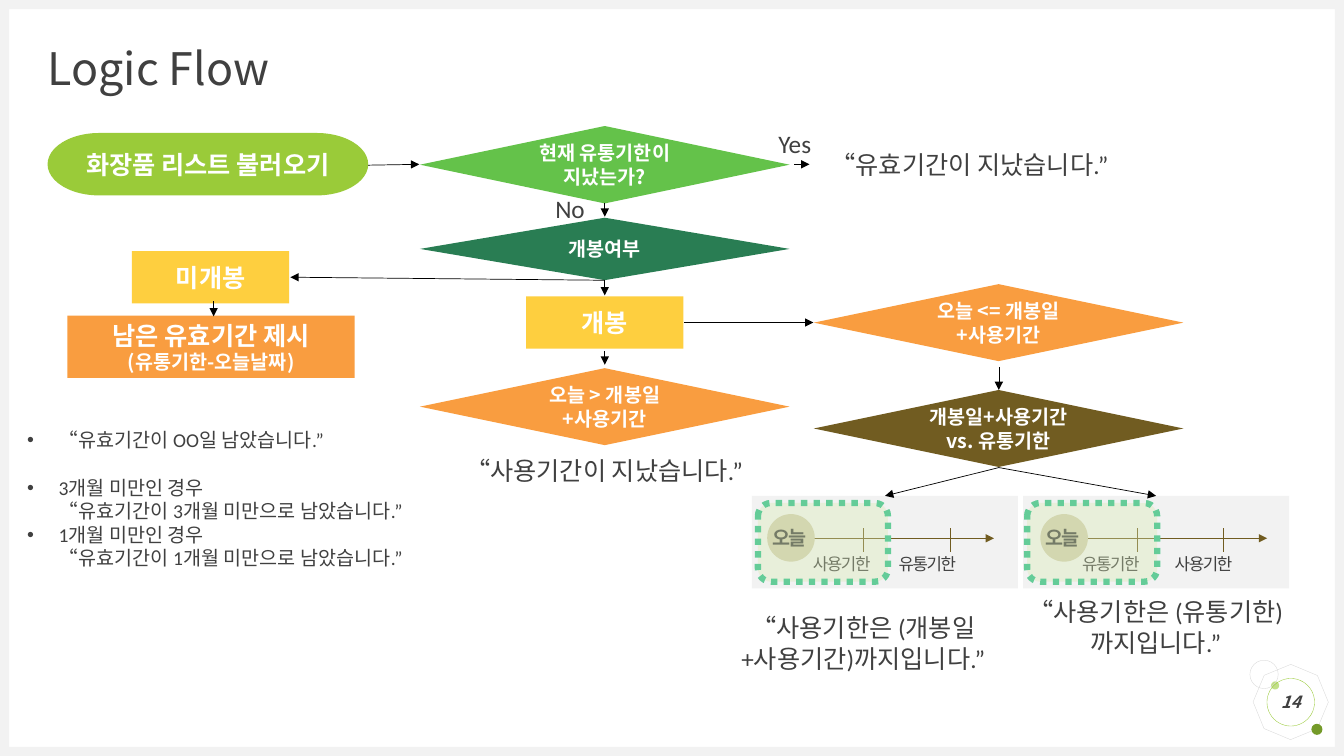
from dataclasses import dataclass
from typing import Any, Optional

import pptx
import pptx.dml.color
import pptx.enum.dml
import pptx.enum.shapes
import pptx.enum.text
import pptx.oxml.ns
import pptx.util
from lxml import etree

Pt = pptx.util.Pt
RGBColor = pptx.dml.color.RGBColor
Kind = pptx.enum.shapes.MSO_SHAPE
Align = pptx.enum.text.PP_ALIGN
Anchor = pptx.enum.text.MSO_ANCHOR
qn = pptx.oxml.ns.qn

WHITE = RGBColor(0xFF, 0xFF, 0xFF)
BLACK = RGBColor(0x00, 0x00, 0x00)
INK = RGBColor(0x40, 0x40, 0x40)
PALE = RGBColor(0xF2, 0xF2, 0xF2)
GREY = RGBColor(0xD9, 0xD9, 0xD9)
LIME = RGBColor(0x9A, 0xCB, 0x39)
LEAF = RGBColor(0x64, 0xC2, 0x4A)
FOREST = RGBColor(0x29, 0x7D, 0x53)
YELLOW = RGBColor(0xFE, 0xCF, 0x3F)
ORANGE = RGBColor(0xF9, 0x9D, 0x40)
BROWN = RGBColor(0x71, 0x5C, 0x21)
SAND = RGBColor(0xD2, 0xCE, 0xB1)
MINT = RGBColor(0x64, 0xCC, 0x98)
TINT = RGBColor(0xD7, 0xEA, 0xB0)
LIGHT = RGBColor(0xC2, 0xE0, 0x88)
OLIVE = RGBColor(0x74, 0x9A, 0x29)
NOTO = "Noto Sans CJK KR"
PLAIN = "Calibri"

Box = tuple[float, float, float, float]
Point = tuple[float, float]


@dataclass
class Style:
    size: float
    face: str = PLAIN
    color: RGBColor = INK
    bold: bool = False
    slant: bool = False
    track: float = 0


@dataclass
class Node:
    kind: Any
    box: Box
    fill: Optional[RGBColor] = None
    line: Optional[RGBColor] = None
    turn: float = 0
    lines: tuple[tuple[str, Style], ...] = ()


@dataclass
class Note:
    box: Box
    text: str
    style: Style
    align: Any = Align.CENTER
    anchor: Any = Anchor.MIDDLE
    wrap: bool = True


@dataclass
class Span:
    """A timeline panel with its axis, its dotted frame and two named dates."""
    left: float
    axis: float
    frame: float
    dates: tuple[tuple[str, float], ...]


HEAD = Style(18, NOTO, WHITE, True)
SUB = Style(14, NOTO, WHITE, True)
BADGE = Style(12, NOTO, INK, True, True)
TITLE = Style(32, NOTO)
SAY = Style(18)
ITEM = Style(14)
TODAY = Style(14, bold=True, track=-1)
DATE = Style(12, track=-1)


def write(para: Any, text: str, style: Style) -> None:
    run = para.add_run()
    run.text = text
    font = run.font
    font.name, font.size = style.face, Pt(style.size)
    font.bold, font.italic = style.bold, style.slant
    font.color.rgb = style.color
    if style.track:
        run._r.get_or_add_rPr().set("spc", str(int(style.track * 100)))


def clear(frame: Any) -> None:
    """Set all insets to zero."""
    frame.margin_left = frame.margin_right = Pt(0)
    frame.margin_top = frame.margin_bottom = Pt(0)


def place(shape: Any, box: Box) -> None:
    shape.left, shape.top, shape.width, shape.height = map(Pt, box)


def draw(shapes: Any, node: Node) -> Any:
    shape = shapes.add_shape(node.kind, *map(Pt, node.box))
    shape.shadow.inherit = False
    shape.rotation = node.turn
    if node.fill is None:
        shape.fill.background()
    else:
        shape.fill.solid()
        shape.fill.fore_color.rgb = node.fill
    if node.line is None:
        shape.line.fill.background()
    else:
        shape.line.color.rgb = node.line
        shape.line.width = Pt(0.25)
    if node.lines:
        frame = shape.text_frame
        frame.word_wrap, frame.vertical_anchor = True, Anchor.MIDDLE
        if node.fill is None:
            clear(frame)
        para = frame.paragraphs[0]
        para.alignment = Align.CENTER
        for i, (text, style) in enumerate(node.lines):
            if i:
                para.add_line_break()
            write(para, text, style)
    return shape


def label(shapes: Any, note: Note) -> None:
    frame = shapes.add_textbox(*map(Pt, note.box)).text_frame
    clear(frame)
    frame.word_wrap, frame.vertical_anchor = note.wrap, note.anchor
    para = frame.paragraphs[0]
    para.alignment = note.align
    write(para, note.text, note.style)


def link(shapes: Any, start: Point, end: Point,
         color: RGBColor = BLACK, head: bool = True) -> None:
    straight = pptx.enum.shapes.MSO_CONNECTOR.STRAIGHT
    wire = shapes.add_connector(straight, *map(Pt, start + end))
    wire.line.color.rgb, wire.line.width = color, Pt(0.5)
    if head:
        etree.SubElement(wire.line._get_or_add_ln(), qn("a:tailEnd"), type="triangle")
    etree.SubElement(wire._element.spPr, qn("a:effectLst"))


def chart(slide: Any, span: Span) -> None:
    """Draw one timeline panel as a group."""
    shapes = slide.shapes.add_group_shape().shapes
    axis, mid = span.axis, 384.5
    draw(shapes, Node(Kind.RECTANGLE, (span.left, 354.2, 190, 66.2), PALE))
    link(shapes, (axis, mid), (axis + 152, mid), BROWN)
    for tick in (axis + 59, axis + 121):
        link(shapes, (tick, 377.3), (tick, 394.6), BROWN, False)
    draw(shapes, Node(Kind.FLOWCHART_CONNECTOR, (axis - 10, 367.2, 34, 34), SAND))
    label(shapes, Note((axis - 6.5, 375.8, 34, 18.7), "오늘", TODAY, Align.LEFT, Anchor.TOP))
    for name, left in span.dates:
        label(shapes, Note((left, 386, 70.6, 34), name, DATE))
    frame = draw(shapes, Node(Kind.ROUNDED_RECTANGLE, (span.frame, 359.3, 92.9, 56.2), TINT, MINT))
    frame.line.width = Pt(4.5)
    frame.line.dash_style = pptx.enum.dml.MSO_LINE.ROUND_DOT
    tint = frame._element.spPr.find(qn("a:solidFill"))[0]
    etree.SubElement(tint, qn("a:alpha"), val="35000")


def items(frame: Any) -> None:
    clear(frame)
    frame.word_wrap, frame.vertical_anchor = True, Anchor.MIDDLE
    frame.auto_size = pptx.enum.text.MSO_AUTO_SIZE.NONE
    texts = (("“유효기간이 OO일 남았습니다.”",),
             ("3개월 미만인 경우", "“유효기간이 3개월 미만으로 남았습니다.”"),
             ("1개월 미만인 경우", "“유효기간이 1개월 미만으로 남았습니다.”"))
    for i, lines in enumerate(texts):
        para = frame.add_paragraph() if i else frame.paragraphs[0]
        props = para._p.get_or_add_pPr()
        props.set("marL", str(Pt(22.5)))
        props.set("indent", str(Pt(-22.5)))
        etree.SubElement(props, qn("a:buFont"), typeface="Arial")
        etree.SubElement(props, qn("a:buChar"), char="•")
        para.space_before = Pt(17 if i == 1 else 0)
        for j, text in enumerate(lines):
            if j:
                para.add_line_break()
            write(para, text, ITEM)


DIAMOND, RECT, OVAL = Kind.FLOWCHART_DECISION, Kind.RECTANGLE, Kind.OVAL
NODES = (
    Node(Kind.OCTAGON, (897.1, 476.6, 49.7, 49.7), line=GREY, turn=22.7),
    Node(OVAL, (907.9, 486.7, 5.8, 5.8), LIGHT),
    Node(OVAL, (936.7, 517, 7.9, 7.9), OLIVE),
    Node(OVAL, (892.8, 471.6, 20.2, 20.2), line=GREY),
    Node(RECT, (0, 533.5, 960, 6.5), PALE),
    Node(RECT, (0, 0, 960, 6.5), PALE),
    Node(RECT, (0, 0, 6.5, 540), PALE),
    Node(RECT, (953.5, 0, 6.5, 540), PALE),
    Node(OVAL, (905, 484.6, 34, 34), line=LIME, lines=(("14", BADGE),)),
    Node(Kind.FLOWCHART_TERMINATOR, (34, 95, 229, 44.6), LIME,
         lines=(("화장품 리스트 불러오기", HEAD),)),
    Node(DIAMOND, (300, 90, 264, 55.3), LEAF, lines=(("현재 유통기한이 지났는가?", SUB),)),
    Node(DIAMOND, (300, 155.5, 264, 44.6), FOREST, lines=(("개봉여부", SUB),)),
    Node(DIAMOND, (300, 263, 264, 55), ORANGE, lines=(("오늘 > 개봉일+사용기간", SUB),)),
    Node(DIAMOND, (581.3, 203, 264, 55), ORANGE, lines=(("오늘 <= 개봉일+사용기간", SUB),)),
    Node(DIAMOND, (581.3, 278.6, 264, 55), BROWN, lines=(("개봉일+사용기간 vs. 유통기한", SUB),)),
    Node(RECT, (94.3, 179.3, 112.3, 37.4), YELLOW, lines=(("미개봉", HEAD),)),
    Node(RECT, (375.8, 211.7, 112.3, 37.4), YELLOW, lines=(("개봉", HEAD),)),
    Node(RECT, (48.2, 225.4, 205.2, 44.6), ORANGE,
         lines=(("남은 유효기간 제시", HEAD), ("(유통기한-오늘날짜)", SUB))),
)
NOTES = (
    Note((593.3, 100.1, 264, 34), "“유효기간이 지났습니다.”", SAY, Align.LEFT),
    Note((555.8, 89.3, 23.8, 26.6), "Yes", SAY, wrap=False),
    Note((395.3, 135.4, 23.8, 26.6), "No", SAY, wrap=False),
    Note((299.5, 319, 264, 34), "“사용기간이 지났습니다.”", SAY),
    Note((518.4, 419, 196.6, 80.6), "“사용기한은 (개봉일+사용기간)까지입니다.”", SAY),
    Note((727.2, 407.5, 196.6, 80.6), "“사용기한은 (유통기한)까지입니다.”", SAY),
)
LINKS = (
    ((263, 118), (299.5, 117.4)), ((432, 144.7), (432, 154.8)),
    ((432, 200.2), (432, 211)), ((567.4, 117.4), (578.2, 117.4)),
    ((432, 200.2), (207.4, 198)), ((432, 250.6), (432, 260.6)),
    ((152.6, 215.3), (152.6, 226)), ((488.9, 230.4), (581, 230.4)),
    ((713.5, 262), (713.5, 278.6)), ((713.5, 334), (825.8, 354.2)),
    ((713.5, 334), (632.2, 354.2)),
)
SPANS = (
    Span(537.1, 558, 541.4, (("사용기한", 565.9), ("유통기한", 627.1))),
    Span(730.8, 753.1, 733.7, (("유통기한", 758.2), ("사용기한", 824.4))),
)


def main() -> None:
    deck = pptx.Presentation()
    deck.slide_width, deck.slide_height = Pt(960), Pt(540)
    slide = deck.slides.add_slide(deck.slide_layouts[1])
    title, body = slide.shapes.title, slide.placeholders[1]
    place(title, (34, 34, 893, 34))
    clear(title.text_frame)
    title.text_frame.vertical_anchor = Anchor.MIDDLE
    para = title.text_frame.paragraphs[0]
    para.alignment, para.line_spacing = Align.LEFT, 0.9
    write(para, "Logic Flow", TITLE)
    place(body, (19.4, 292.3, 285, 128.2))
    items(body.text_frame)
    for node in NODES:
        draw(slide.shapes, node)
    for note in NOTES:
        label(slide.shapes, note)
    for span in SPANS:
        chart(slide, span)
    for start, end in LINKS:
        link(slide.shapes, start, end)
    deck.save("out.pptx")


if __name__ == "__main__":
    main()
